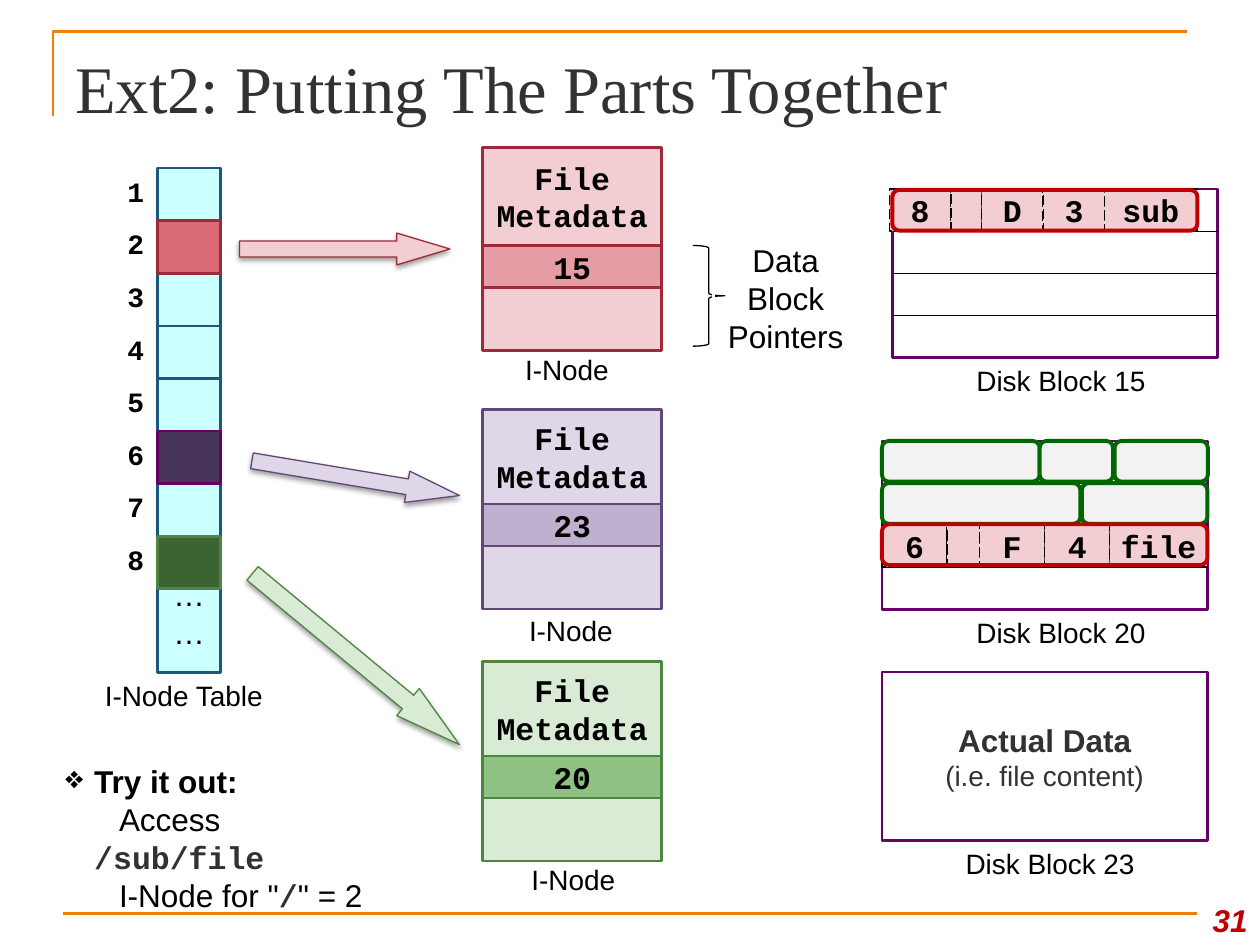
from lxml import etree
from pptx import Presentation
from pptx.dml.color import RGBColor
from pptx.enum.dml import MSO_LINE
from pptx.enum.shapes import MSO_CONNECTOR, MSO_SHAPE
from pptx.enum.text import MSO_ANCHOR, PP_ALIGN
from pptx.oxml.ns import qn
from pptx.util import Cm, Pt

RECT, ROUNDED = MSO_SHAPE.RECTANGLE, MSO_SHAPE.ROUNDED_RECTANGLE
ARROW, BRACE = MSO_SHAPE.RIGHT_ARROW, MSO_SHAPE.RIGHT_BRACE
STRAIGHT = MSO_CONNECTOR.STRAIGHT
TOP, MIDDLE, BOTTOM = MSO_ANCHOR.TOP, MSO_ANCHOR.MIDDLE, MSO_ANCHOR.BOTTOM
LEFT, CENTER, RIGHT = PP_ALIGN.LEFT, PP_ALIGN.CENTER, PP_ALIGN.RIGHT

COLORS = {
    "black": "000000", "white": "FFFFFF", "ink": "323232", "orange": "F07F09",
    "cyan": "CCFFFF", "blue": "1B587C", "plum": "660066", "alert": "C00000",
    "pink": "F2CED2", "rose": "E69CA4", "coral": "D96B77", "crimson": "9F2936",
    "lilac": "DFD7E7", "mauve": "BFB0CF", "aubergine": "48365A", "violet": "604878",
    "mint": "D9EAD5", "leaf": "8EC182", "forest": "3B6432", "green": "4E8542",
    "gray": "F2F2F2", "used": "006600",
}
FONTS = {
    "title": {"name": "Times New Roman", "size": Pt(38)},
    "label": {"name": "Arial", "size": Pt(16)},
    "body": {"name": "Arial", "size": Pt(18)},
    "strong": {"name": "Arial", "size": Pt(18), "bold": True},
    "index": {"name": "Courier New", "size": Pt(16), "bold": True},
    "code": {"name": "Courier New", "size": Pt(18), "bold": True},
    "page": {"name": "Arial", "size": Pt(18), "bold": True, "italic": True},
}
ROW = 0.85  # height of one disk block row and of a block pointer

prs = Presentation()
prs.slide_width, prs.slide_height = Cm(25.4), Cm(19.05)
slide = prs.slides.add_slide(prs.slide_layouts[6])
shapes = slide.shapes


def add_box(kind, box, fill=None, line=None, weight=1.5):
    """Add a preset shape, or a text box if kind is None; box is in cm."""
    place = [Cm(v) for v in box]
    if kind is None:
        return shapes.add_textbox(*place)
    shape = shapes.add_shape(kind, *place)
    shape.shadow.inherit = False
    if fill:
        shape.fill.solid()
        shape.fill.fore_color.rgb = RGBColor.from_string(COLORS[fill])
    else:
        shape.fill.background()
    shape.line.color.rgb = RGBColor.from_string(COLORS[line])
    shape.line.width = Pt(weight)
    return shape


def write(shape, paragraphs, align=CENTER, anchor=MIDDLE, wrap=True, **margins):
    """Fill a shape with paragraphs, each a list of (text, font, colour) runs."""
    frame = shape.text_frame
    frame.word_wrap, frame.vertical_anchor = wrap, anchor
    for side, value in margins.items():
        setattr(frame, "margin_" + side, Cm(value))
    for i, runs in enumerate(paragraphs):
        paragraph = frame.add_paragraph() if i else frame.paragraphs[0]
        paragraph.alignment = align
        for text, font, color in runs:
            run = paragraph.add_run()
            run.text = text
            run.font.color.rgb = RGBColor.from_string(COLORS[color])
            for name, value in FONTS[font].items():
                setattr(run.font, name, value)
    return frame


# Slide frame, title and page number
corner = shapes.build_freeform(Cm(1.07), Cm(2.34))
corner.add_line_segments([(Cm(1.07), Cm(0.64)), (Cm(23.93), Cm(0.64))], close=False)
corner_rule = corner.convert_to_shape()
corner_rule.shadow.inherit = False
corner_rule.fill.background()
corner_rule.line.color.rgb = RGBColor.from_string(COLORS["orange"])
corner_rule.line.width = Pt(1.5)
write(add_box(None, (1.27, 0.76, 22.86, 1.98)),
      [[("Ext2: Putting The Parts Together", "title", "ink")]], LEFT)
write(add_box(None, (23.93, 17.78, 1.47, 1.27)), [[("31", "page", "alert")]], RIGHT, BOTTOM)

# Disk blocks
BLOCK_W = 6.56
block_tops = {15: 3.81, 20: 8.89, 23: 13.55}
block_lefts = {15: 17.99, 20: 17.78, 23: 17.78}
blocks = {number: add_box(RECT, (block_lefts[number], top, BLOCK_W, 4 * ROW), "white", "plum")
          for number, top in block_tops.items()}
write(blocks[23], [[("Actual Data", "strong", "ink")],
                   [("(i.e. file content)", "label", "ink")]], wrap=False)

rules = [(1.27, 18.42, 22.86, "orange", 1.5)]
rules += [(block_lefts[n], block_tops[n] + row * ROW, BLOCK_W, "black", 0.75)
          for n in (15, 20) for row in (1, 2, 3)]
for left, y, width, color, weight in rules:
    rule = shapes.add_connector(STRAIGHT, Cm(left), Cm(y), Cm(left + width), Cm(y))
    rule.line.color.rgb = RGBColor.from_string(COLORS[color])
    rule.line.width = Pt(weight)
    etree.SubElement(rule._element.spPr, qn("a:effectLst"))

# Directory records: i-node, record length, type, name length, name
FIELD_UNITS = (2, 1, 2, 2, 3)
records = [
    (17.93, 3.81, 6.2, ("8", "", "D", "3", "sub")),
    (17.78, 10.58, BLOCK_W, ("6", "", "F", "4", "file")),
]
for left, top, width, fields in records:
    unit = width / sum(FIELD_UNITS)
    for i, (units, field) in enumerate(zip(FIELD_UNITS, fields)):
        cell = add_box(RECT, (left + unit * sum(FIELD_UNITS[:i]), top, unit * units, ROW),
                       "pink", "black", 0.75)
        cell.line.dash_style = MSO_LINE.LONG_DASH
        if field:
            write(cell, [[(field, "code", "black")]], wrap=False)

for left, top, width, fill, line in [
    (17.99, 3.83, 6.15, None, "alert"),
    (17.78, 8.89, 3.18, "gray", "used"),
    (20.96, 8.89, 1.48, "gray", "used"),
    (22.47, 8.89, 1.88, "gray", "used"),
    (17.78, 9.74, 4, "gray", "used"),
    (21.81, 9.74, 2.53, "gray", "used"),
    (17.78, 10.57, BLOCK_W, None, "alert"),
]:
    add_box(ROUNDED, (left, top, width, 0.82), fill, line, 2.25)

# I-node table
CELL = 1.06
TABLE_LEFT, TABLE_TOP = 3.18, 3.39
linked_cells = {2: ("coral", "crimson"), 6: ("aubergine", "plum"), 8: ("forest", "green")}
more_rows = add_box(RECT, (TABLE_LEFT, TABLE_TOP + 8 * CELL, 1.27, 1.69), "cyan", "blue")
write(more_rows, [[("…", "body", "black")]] * 2, wrap=False, top=0, bottom=0.73)
for number in sorted(range(1, 9), key=lambda n: n in linked_cells):
    top = TABLE_TOP + (number - 1) * CELL
    add_box(RECT, (TABLE_LEFT, top, 1.27, CELL), *linked_cells.get(number, ("cyan", "blue")))
    write(add_box(None, (2.31, top, 0.86, 0.94)), [[(str(number), "index", "black")]],
          anchor=TOP, wrap=False)

# I-nodes: top, header height, block pointer, fill, pointer fill, line
NODE_LEFT, NODE_W = 9.73, 3.61
for top, header, pointer, fill, accent, line in [
    (2.97, 1.98, "15", "pink", "rose", "crimson"),
    (8.26, 1.9, "23", "lilac", "mauve", "violet"),
    (13.34, 1.9, "20", "mint", "leaf", "green"),
]:
    metadata = add_box(RECT, (NODE_LEFT, top, NODE_W, header), fill, line)
    write(metadata, [[("File Metadata", "code", "black")]], left=0.15, right=0.15)
    add_box(RECT, (NODE_LEFT, top + header + ROW, NODE_W, 1.27), fill, line)
    pointer_cell = add_box(RECT, (NODE_LEFT, top + header, NODE_W, ROW), accent, line)
    write(pointer_cell, [[(pointer, "code", "black")]])

# Arrows from the table to the i-nodes
for box, angle, head, fill, line in [
    ((4.83, 4.7, 4.24, 0.64), 0, 1.67, "pink", "crimson"),
    ((5.05, 9.32, 4.24, 0.64), 9.5, 1.67, "lilac", "violet"),
    ((4.47, 12.93, 5.41, 0.71), 39.6, 1.89, "mint", "green"),
]:
    arrow = add_box(ARROW, box, fill, line, 0.75)
    arrow.rotation = angle
    arrow.adjustments[1] = head
    effects = arrow._element.spPr.find(qn("a:effectLst"))
    shadow = etree.SubElement(effects, qn("a:outerShdw"), blurRad=str(Pt(3.1)),
                              dist=str(Pt(1.6)), dir="5400000", rotWithShape="0")
    shade = etree.SubElement(shadow, qn("a:srgbClr"), val=COLORS["black"])
    etree.SubElement(shade, qn("a:alpha"), val="38000")

# Pointer brace
add_box(BRACE, (13.97, 4.95, 0.64, 2.03), None, "black", 0.75)
write(add_box(RECT, (14.38, 4.95, 2.92, 2.11), None, "white", 2),
      [[("Data Block Pointers", "body", "black")]])

# Captions
for caption, left, top, width in [
    ("I-Node", 10.16, 6.99, 2.54),
    ("I-Node", 10.24, 12.24, 2.54),
    ("I-Node", 10.29, 17.27, 2.54),
    ("I-Node Table", 1.7, 13.55, 4.01),
    ("Disk Block 15", 18.85, 7.2, 5.08),
    ("Disk Block 20", 18.85, 12.28, 5.08),
    ("Disk Block 23", 18.63, 16.94, 5.08),
]:
    write(add_box(None, (left, top, width, 0.94)), [[(caption, "label", "black")]], anchor=TOP)

# Exercise
exercise = write(add_box(None, (1.07, 15.24, 6.7, 2.54)), [
    [("Try it out:", "strong", "black")],
    [("Access ", "body", "black"), ("/sub/file", "code", "ink")],
    [('I-Node for "', "body", "black"), ("/", "code", "ink"), ('" = 2', "body", "black")],
], LEFT, TOP)
for paragraph, indent in zip(exercise.paragraphs, (-0.58, 0.5, 0.5)):
    properties = paragraph._p.get_or_add_pPr()
    properties.set("marL", str(Cm(0.58)))
    properties.set("indent", str(Cm(indent)))
    if indent < 0:
        etree.SubElement(properties, qn("a:buChar"), char="❖")

prs.save("out.pptx")
